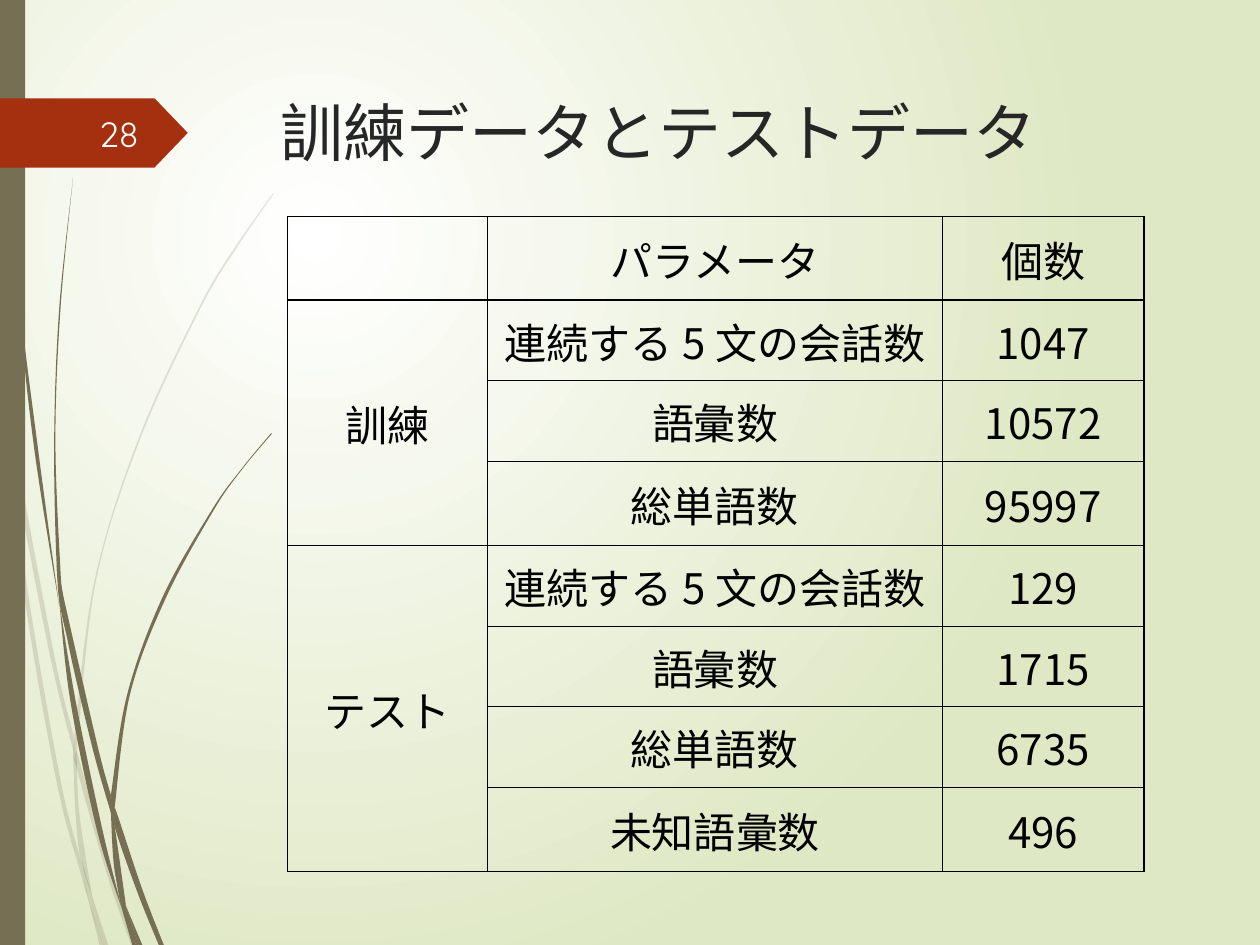
from dataclasses import dataclass

from lxml import etree
from pptx import Presentation
from pptx import util as u
from pptx.dml.color import RGBColor
from pptx.enum import shapes, text
from pptx.oxml.ns import qn

WIDTH, HEIGHT = 10, 7.5
COLORS = {"glow": "FFFFFF", "leaf": "DFE8C4", "bark": "766F54", "tag": "A53010",
          "title": "262626", "number": "FEFFFF", "ink": "000000"}
LATIN, JAPANESE = "Quicksand", "Noto Sans CJK JP"
Points = list[tuple[float, float]]


@dataclass
class Blade:
    """A piece of a grass stem between two curved edges, both from tip to root."""
    left: Points
    right: Points


@dataclass
class Section:
    """A block of table rows that share one label."""
    label: str
    rows: list[tuple[str, str]]


PALE_BLADES = [
    Blade([(0, 2.99), (0.07, 3.44), (0.08, 3.5)], [(0, 2.82), (0.06, 3.22), (0.08, 3.5)]),
    Blade([(0.1, 3.45), (0.12, 3.76), (0.4, 5.22), (0.59, 5.99)],
          [(0.1, 3.45), (0.43, 5.2), (0.59, 5.86)]),
    Blade([(0.61, 5.96), (0.61, 6.1), (0.85, 6.94), (1.04, 7.5)],
          [(0.61, 5.96), (0.64, 6.07), (0.88, 6.92), (1.08, 7.5)]),
    Blade([(0.73, 7.11), (0.83, 7.5)], [(0.73, 7.11), (0.86, 7.5)]),
    Blade([(0.08, 3.5), (0.19, 4.7), (0.45, 6.21), (0.64, 6.93), (0.7, 7.14)],
          [(0.08, 3.5), (0.22, 4.69), (0.48, 6.19), (0.64, 6.83), (0.7, 7.14)]),
    Blade([(0.58, 5.99), (0.6, 6.46), (0.64, 6.83), (0.73, 7.11)],
          [(0.58, 5.99), (0.61, 6.1), (0.63, 6.46), (0.73, 7.11)]),
    Blade([(2.17, 1.53), (1.86, 1.97), (1.58, 2.44), (1.1, 3.48), (0.75, 4.61), (0.59, 5.84)],
          [(2.17, 1.54), (1.87, 1.98), (1.59, 2.45), (1.11, 3.49), (0.76, 4.62), (0.61, 5.96)]),
    Blade([(0.7, 7.14), (0.79, 7.5)], [(0.7, 7.14), (0.82, 7.5)]),
    Blade([(0.59, 5.86), (0.58, 5.99), (0.61, 6.1)], [(0.59, 5.86), (0.61, 5.96), (0.61, 6.1)]),
    Blade([(0.65, 6.83), (0.7, 7.14), (0.82, 7.5)], [(0.65, 6.83), (0.73, 7.11), (0.83, 7.5)]),
]
DARK_BLADES = [
    Blade([(0.02, 0), (0.05, 1.1), (0.14, 2.33), (0.27, 3.55), (0.47, 4.81)],
          [(0.03, 0), (0.06, 1.09), (0.15, 2.32), (0.3, 3.55), (0.47, 4.81)]),
    Blade([(0.5, 4.72), (0.53, 5.05), (0.73, 5.92), (0.88, 6.45)],
          [(0.5, 4.72), (0.77, 5.9), (0.88, 6.31)]),
    Blade([(0.91, 6.41), (0.91, 6.56), (1.09, 7.08), (1.26, 7.5)],
          [(0.91, 6.41), (0.94, 6.49), (1.13, 7.06), (1.3, 7.5)]),
    Blade([(0.47, 4.77), (0.56, 5.57), (0.77, 6.59), (0.97, 7.22)],
          [(0.47, 4.77), (0.6, 5.56), (0.81, 6.57), (0.97, 7.22)]),
    Blade([(0.58, 1.41), (0.47, 2.45), (0.43, 3.49), (0.45, 4.49), (0.49, 4.72)],
          [(0.58, 1.41), (0.48, 2.45), (0.44, 3.49), (0.48, 4.53), (0.5, 4.72)]),
    Blade([(1, 7.19), (1.1, 7.5)], [(1, 7.19), (1.13, 7.5)]),
    Blade([(0.45, 4.49), (0.47, 4.77), (0.53, 5.05)], [(0.45, 4.49), (0.5, 4.72), (0.53, 5.05)]),
    Blade([(2.15, 3.44), (1.91, 3.73), (1.68, 4.05), (1.29, 4.74), (1.01, 5.51), (0.88, 6.31)],
          [(2.16, 3.44), (1.91, 3.74), (1.69, 4.06), (1.31, 4.76), (1.03, 5.52), (0.91, 6.41)]),
    Blade([(0.97, 7.22), (1.05, 7.5)], [(0.97, 7.22), (1.08, 7.5)]),
    Blade([(0.88, 6.45), (0.91, 6.91), (1, 7.19)], [(0.88, 6.45), (0.91, 6.56), (1, 7.19)]),
    Blade([(0.88, 6.31), (0.88, 6.45), (0.91, 6.56)], [(0.88, 6.31), (0.91, 6.41), (0.91, 6.56)]),
    Blade([(0.91, 6.91), (0.97, 7.22), (1.08, 7.5)], [(0.91, 6.91), (1, 7.19), (1.1, 7.5)]),
]
CONVERSATIONS, VOCABULARY, WORDS = "連続する 5 文の会話数", "語彙数", "総単語数"
SECTIONS = [
    Section("", [("パラメータ", "個数")]),
    Section("訓練", [(CONVERSATIONS, "1047"), (VOCABULARY, "10572"), (WORDS, "95997")]),
    Section("テスト", [(CONVERSATIONS, "129"), (VOCABULARY, "1715"), (WORDS, "6735"),
                    ("未知語彙数", "496")]),
]
COLUMN_WIDTHS = [1.59, 3.61, 1.6]
ROW_HEIGHT, LAST_ROW_HEIGHT, HEADER_HEIGHT = 0.64, 0.67, 0.66


def color(name: str) -> RGBColor:
    """Look up a named colour."""
    return RGBColor.from_string(COLORS[name])


def box(left: float, top: float, width: float, height: float) -> list[int]:
    """Turn inches into a position and size."""
    return [u.Inches(length) for length in (left, top, width, height)]


def add_run(paragraph, words: str, size: float, font: str, tone: str) -> None:
    """Add one formatted run to a paragraph."""
    run = paragraph.add_run()
    run.text = words
    run.font.size, run.font.name = u.Pt(size), font
    run.font.color.rgb = color(tone)
    etree.SubElement(run.font._element, qn("a:ea"), typeface=JAPANESE)


def paint(shape, tone: str) -> None:
    """Give a shape a flat fill without line or shadow."""
    shape.fill.solid()
    shape.fill.fore_color.rgb = color(tone)
    shape.line.fill.background()
    shape.shadow.inherit = False


def set_background(slide) -> None:
    """Fill the background with a circular glow at the upper left."""
    fill = slide.background.fill
    fill.gradient()
    for stop, tone in zip(fill.gradient_stops, ("glow", "leaf")):
        stop.color.rgb = color(tone)
    gradient = slide.element.find(".//" + qn("a:gradFill"))
    circle = etree.Element(qn("a:path"), path="circle")
    etree.SubElement(circle, qn("a:fillToRect"), l="50000", t="50000", r="100000", b="100000")
    gradient.replace(gradient.find(qn("a:lin")), circle)


def curve_controls(points: Points) -> Points:
    """Give two handles and an end point for each step of a smooth curve."""
    padded = [points[0], *points, points[-1]]
    controls = []
    for a, b, c, d in zip(padded, padded[1:], padded[2:], padded[3:]):
        controls += [tuple(q + (r - p) / 6 for p, q, r in zip(a, b, c)),
                     tuple(r - (s - q) / 6 for q, r, s in zip(b, c, d)), c]
    return controls


def add_blade(slide, blade: Blade, opacity: int) -> None:
    """Draw a blade as one outline of cubic curves."""
    back = blade.right[::-1]
    outline = [blade.left[0], *curve_controls(blade.left), blade.left[-1], back[0], back[0],
               *curve_controls(back)]
    start, *rest = [(u.Inches(x), u.Inches(y)) for x, y in outline]
    builder = slide.shapes.build_freeform(*start)
    builder.add_line_segments(rest, close=True)
    shape = builder.convert_to_shape()
    paint(shape, "bark")
    lines = list(shape._element.iter(qn("a:lnTo")))
    for first, second, end in zip(lines[::3], lines[1::3], lines[2::3]):
        curve = etree.Element(qn("a:cubicBezTo"))
        first.addprevious(curve)
        for line in (first, second, end):
            curve.append(line[0])
            line.getparent().remove(line)
    if opacity < 100:
        tone = shape.fill._xPr.find(qn("a:solidFill"))[0]
        etree.SubElement(tone, qn("a:alpha"), val=str(opacity * 1000))


def add_decoration(slide) -> None:
    """Draw the stems, the side bar and the number tag."""
    for blades, opacity in ((PALE_BLADES, 20), (DARK_BLADES, 100)):
        for blade in blades:
            add_blade(slide, blade, opacity)
    bar = slide.shapes.add_shape(shapes.MSO_SHAPE.RECTANGLE, *box(0, 0, 0.02 * WIDTH, HEIGHT))
    paint(bar, "bark")
    tag = slide.shapes.add_shape(shapes.MSO_SHAPE.PENTAGON, *box(0, 0.78, 1.49, 0.55))
    tag.adjustments[0] = 0.48
    paint(tag, "tag")


def add_heading(slide) -> None:
    """Fill the title and the slide number."""
    title = slide.shapes.title
    title.left, title.top, title.width, title.height = box(2.13, 0.69, 7.21, 1.4)
    title.text_frame.vertical_anchor = text.MSO_ANCHOR.TOP
    paragraph = title.text_frame.paragraphs[0]
    paragraph.alignment = text.PP_ALIGN.LEFT
    add_run(paragraph, "訓練データとテストデータ", 36, LATIN, "title")

    number = slide.shapes.add_textbox(*box(0.56, 0.86, 0.64, 0.4)).text_frame
    number.word_wrap = True
    number.vertical_anchor = text.MSO_ANCHOR.MIDDLE
    number.paragraphs[0].alignment = text.PP_ALIGN.RIGHT
    add_run(number.paragraphs[0], "28", 20, LATIN, "number")


def set_borders(cell, widths: list[float]) -> None:
    """Set left, right, top and bottom line widths in points."""
    properties = cell._tc.get_or_add_tcPr()
    for index, (side, width) in enumerate(zip("LRTB", widths)):
        line = etree.Element(qn(f"a:ln{side}"), w=str(u.Pt(width)))
        fill = etree.SubElement(line, qn("a:solidFill"))
        etree.SubElement(fill, qn("a:srgbClr"), val=COLORS["ink"])
        properties.insert(index, line)


def write_cell(cell, words: str) -> None:
    """Write centred text in a table cell."""
    cell.vertical_anchor = text.MSO_ANCHOR.MIDDLE
    cell.margin_left = cell.margin_right = cell.margin_top = u.Inches(0.01)
    cell.margin_bottom = 0
    paragraph = cell.text_frame.paragraphs[0]
    paragraph.alignment = text.PP_ALIGN.CENTER
    if words:
        add_run(paragraph, words, 24, JAPANESE, "ink")


def add_counts_table(slide) -> None:
    """Build the table, with thin lines inside sections and thick ones around."""
    heights = [HEADER_HEIGHT] + [LAST_ROW_HEIGHT if row is section.rows[-1] else ROW_HEIGHT
                                 for section in SECTIONS[1:] for row in section.rows]
    table = slide.shapes.add_table(len(heights), len(COLUMN_WIDTHS), *box(
        2.28, 1.72, sum(COLUMN_WIDTHS), sum(heights))).table
    table.first_row = table.horz_banding = False
    for column, width in zip(table.columns, COLUMN_WIDTHS):
        column.width = u.Inches(width)
    for row, height in zip(table.rows, heights):
        row.height = u.Inches(height)
    first = 0
    for section in SECTIONS:
        last = first + len(section.rows) - 1
        for row, values in enumerate(section.rows, first):
            label = section.label if row == first else ""
            for column, words in enumerate((label, *values)):
                cell = table.cell(row, column)
                write_cell(cell, words)
                thin = [first > 0 and column == 2, first > 0 and column == 1,
                        row > first, row < last]
                set_borders(cell, [0.5 if flag else 1 for flag in thin])
                cell.fill.background()
        if last > first:
            table.cell(first, 0).merge(table.cell(last, 0))
        first = last + 1


presentation = Presentation()
presentation.slide_width, presentation.slide_height = u.Inches(WIDTH), u.Inches(HEIGHT)
slide = presentation.slides.add_slide(presentation.slide_layouts[5])
set_background(slide)
add_decoration(slide)
add_heading(slide)
add_counts_table(slide)
presentation.save("out.pptx")
